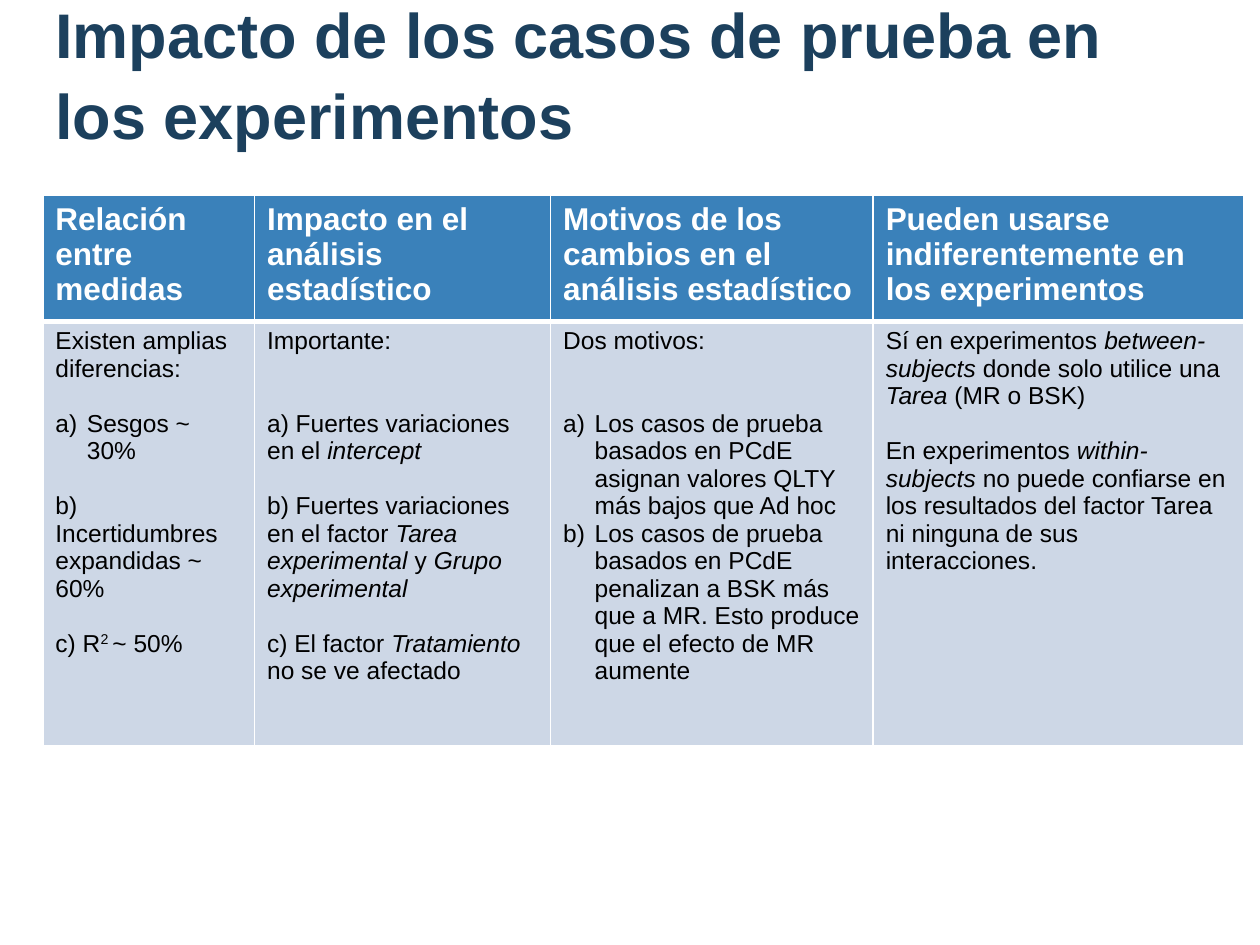
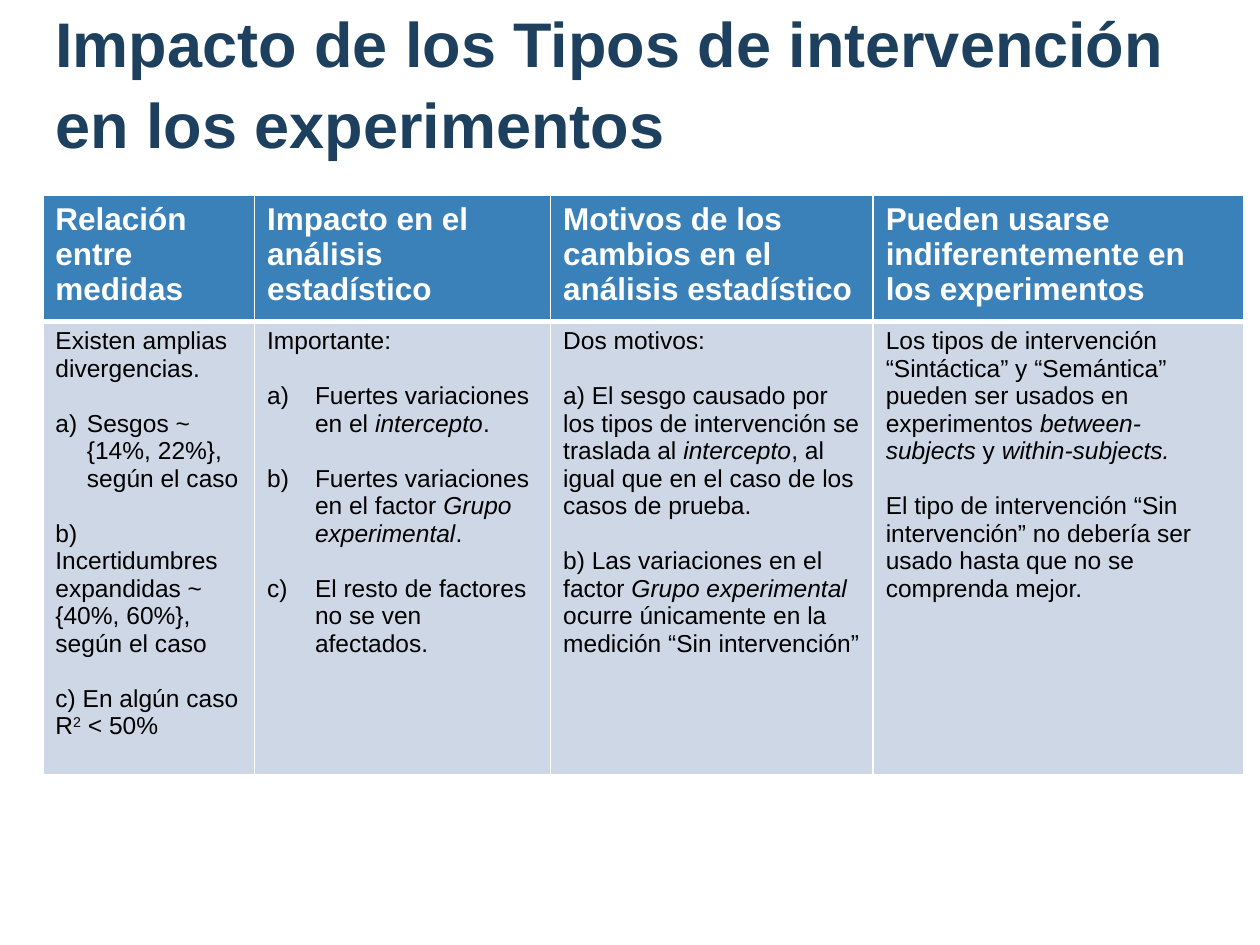
"""Build two slides on how test cases and intervention types affect the experiments."""
from dataclasses import dataclass
from typing import Any

import lxml.etree
import pptx
import pptx.dml.color
import pptx.enum.text
import pptx.oxml.ns
import pptx.util

Inches = pptx.util.Inches
Pt = pptx.util.Pt
qn = pptx.oxml.ns.qn


@dataclass(frozen=True)
class Run:
    """A stretch of text with its emphasis."""
    text: str
    italic: bool = False
    superscript: bool = False


@dataclass(frozen=True)
class Para:
    """A paragraph: its runs, blank lines above it and hanging number indent."""
    runs: tuple[Run, ...]
    lines_above: int = 0
    number_indent: float = 0


@dataclass(frozen=True)
class Topic:
    """One slide: title, title height, findings per column and row height."""
    title: str
    title_height: float
    findings: tuple[tuple[Para, ...], ...]
    findings_height: float


def para(*parts: str | Run, above: int = 0, number: float = 0) -> Para:
    """Make a paragraph from plain strings and styled runs."""
    runs = tuple(Run(part) if isinstance(part, str) else part for part in parts)
    return Para(runs, above, number)


def it(text: str) -> Run:
    """Make an italic run."""
    return Run(text, italic=True)


def sup(text: str) -> Run:
    """Make a superscript run."""
    return Run(text, superscript=True)


NAVY, BLUE, PALE, WHITE, BLACK = "1C405D", "3A81BA", "CDD7E6", "FFFFFF", "000000"
LEFT = 0.34
TABLE_TOP = 1.55
HEADER_HEIGHT = 1
COLUMN_WIDTHS = (1.68, 2.35, 2.56, 2.94)
BODY_LINE = Pt(15.64)
THIN, THICK = 1, 3
NARROW, WIDE = 0.25, 0.38

TITLE_FONT = {"name": "Arial", "size": Pt(36), "bold": True}
HEADER_FONT = {"name": "Arial", "size": Pt(18), "bold": True}
BODY_FONT = {"name": "Arial", "size": Pt(14), "bold": False}
TITLE_FRAME = {
    "word_wrap": True,
    "auto_size": pptx.enum.text.MSO_AUTO_SIZE.NONE,
    "vertical_anchor": pptx.enum.text.MSO_ANCHOR.BOTTOM,
    "margin_left": Inches(0.1), "margin_right": Inches(0.1),
    "margin_top": Inches(0.1), "margin_bottom": Inches(0.1),
}
TITLE_PARAGRAPH = {"alignment": pptx.enum.text.PP_ALIGN.LEFT, "line_spacing": 1.08}
CELL_MARGINS = {
    "margin_left": Inches(0.1), "margin_right": Inches(0.1),
    "margin_top": Inches(0.05), "margin_bottom": Inches(0.05),
}

HEADERS = (
    "Relación entre medidas",
    "Impacto en el análisis estadístico",
    "Motivos de los cambios en el análisis estadístico",
    "Pueden usarse indiferentemente en los experimentos",
)

TOPICS = (
    Topic("Impacto de los casos de prueba en los experimentos", 0.81, (
        (
            para("Existen amplias diferencias:"),
            para("Sesgos ~ 30%", above=1, number=NARROW),
            para("b) Incertidumbres expandidas ~ 60%", above=1),
            para("c) R", sup("2 "), "~ 50%", above=1),
        ),
        (
            para("Importante:"),
            para("a) Fuertes variaciones en el ", it("intercept"), above=2),
            para("b) Fuertes variaciones en el factor ", it("Tarea experimental"),
                 " y ", it("Grupo experimental"), above=1),
            para("c) El factor ", it("Tratamiento "), "no se ve afectado", above=1),
        ),
        (
            para("Dos motivos:"),
            para("Los casos de prueba basados en PCdE asignan valores QLTY "
                 "más bajos que Ad hoc", above=2, number=NARROW),
            para("Los casos de prueba basados en PCdE penalizan a BSK más que a MR. "
                 "Esto produce que el efecto de MR aumente", number=NARROW),
        ),
        (
            para("Sí en experimentos ", it("between-subjects "),
                 "donde solo utilice una ", it("Tarea"), " (MR o BSK)"),
            para("En experimentos ", it("within-subjects "),
                 "no puede confiarse en los resultados del factor Tarea "
                 "ni ninguna de sus interacciones.", above=1),
        ),
    ), 3.37),
    Topic("Impacto de los Tipos de intervención en los experimentos", 0.88, (
        (
            para("Existen amplias divergencias."),
            para("Sesgos ~ {14%, 22%}, según el caso", above=1, number=NARROW),
            para("b) Incertidumbres expandidas ~ {40%, 60%}, según el caso", above=1),
            para("c) En algún caso R", sup("2"), " < 50%", above=1),
        ),
        (
            para("Importante:"),
            para("Fuertes variaciones en el ", it("intercepto"), ".",
                 above=1, number=WIDE),
            para("Fuertes variaciones en el factor ", it("Grupo experimental"), ".",
                 above=1, number=WIDE),
            para("El resto de factores no se ven afectados.", above=1, number=WIDE),
        ),
        (
            para("Dos motivos:"),
            para("a) El sesgo causado por los tipos de intervención se traslada al ",
                 it("intercepto"), ", al igual que en el caso de los casos de prueba.",
                 above=1),
            para("b) Las variaciones en el factor ", it("Grupo experimental "),
                 "ocurre únicamente en la medición “Sin intervención”", above=1),
        ),
        (
            para("Los tipos de intervención “Sintáctica” y “Semántica” pueden ser "
                 "usados en experimentos ", it("between-subjects"), " y ",
                 it("within-subjects.")),
            para("El tipo de intervención “Sin intervención” no debería ser usado "
                 "hasta que no se comprenda mejor.", above=1),
        ),
    ), 3.6),
)


def rgb(value: str) -> pptx.dml.color.RGBColor:
    """Turn a hex string into a colour."""
    return pptx.dml.color.RGBColor.from_string(value)


def apply(target: Any, values: dict[str, Any]) -> None:
    """Set every format value on the target."""
    for name, value in values.items():
        setattr(target, name, value)


def number_paragraph(paragraph: Any, indent: float) -> None:
    """Give a paragraph a lettered number with a hanging indent."""
    properties = paragraph._p.get_or_add_pPr()
    properties.set("marL", str(Inches(indent)))
    properties.set("indent", str(-Inches(indent)))
    bullet_colour = lxml.etree.SubElement(properties, qn("a:buClr"))
    lxml.etree.SubElement(bullet_colour, qn("a:srgbClr"), val=BLACK)
    lxml.etree.SubElement(properties, qn("a:buAutoNum"), type="alphaLcParenR")


def write(frame: Any, paragraphs: tuple[Para, ...], font: dict[str, Any],
          colour: str) -> None:
    """Write paragraphs into a text frame."""
    for index, content in enumerate(paragraphs):
        paragraph = frame.add_paragraph() if index else frame.paragraphs[0]
        if content.number_indent:
            number_paragraph(paragraph, content.number_indent)
        if content.lines_above:
            paragraph.space_before = content.lines_above * BODY_LINE
        for part in content.runs:
            run = paragraph.add_run()
            run.text = part.text
            apply(run.font, font)
            run.font.italic = part.italic
            run.font.color.rgb = rgb(colour)
            if part.superscript:
                run._r.get_or_add_rPr().set("baseline", "30000")


def border_cell(cell: Any, top: float, bottom: float) -> None:
    """Draw white borders around a cell."""
    properties = cell._tc.get_or_add_tcPr()
    widths = {"lnL": THIN, "lnR": THIN, "lnT": top, "lnB": bottom}
    for position, (side, width) in enumerate(widths.items()):
        line = lxml.etree.Element(qn(f"a:{side}"), w=str(Pt(width)))
        fill = lxml.etree.SubElement(line, qn("a:solidFill"))
        lxml.etree.SubElement(fill, qn("a:srgbClr"), val=WHITE)
        properties.insert(position, line)


def fill_cell(cell: Any, paragraphs: tuple[Para, ...], is_header: bool) -> None:
    """Write and colour one table cell."""
    apply(cell, CELL_MARGINS)
    cell.fill.solid()
    cell.fill.fore_color.rgb = rgb(BLUE if is_header else PALE)
    if is_header:
        write(cell.text_frame, paragraphs, HEADER_FONT, WHITE)
        border_cell(cell, THIN, THICK)
    else:
        write(cell.text_frame, paragraphs, BODY_FONT, BLACK)
        border_cell(cell, THICK, THIN)


def add_title(slide: Any, topic: Topic) -> None:
    """Place and format the slide title."""
    title = slide.shapes.title
    apply(title, {"left": Inches(LEFT), "top": Inches(0.5),
                  "width": Inches(9.2), "height": Inches(topic.title_height)})
    apply(title.text_frame, TITLE_FRAME)
    write(title.text_frame, (para(topic.title),), TITLE_FONT, NAVY)
    apply(title.text_frame.paragraphs[0], TITLE_PARAGRAPH)


def add_findings(slide: Any, topic: Topic) -> None:
    """Add the table of findings."""
    heights = (HEADER_HEIGHT, topic.findings_height)
    table = slide.shapes.add_table(
        len(heights), len(HEADERS), Inches(LEFT), Inches(TABLE_TOP),
        Inches(sum(COLUMN_WIDTHS)), Inches(sum(heights))).table
    table.horz_banding = False
    for row, height in zip(table.rows, heights):
        row.height = Inches(height)
    for index, width in enumerate(COLUMN_WIDTHS):
        table.columns[index].width = Inches(width)
        fill_cell(table.cell(0, index), (para(HEADERS[index]),), True)
        fill_cell(table.cell(1, index), topic.findings[index], False)


def main() -> None:
    """Build and save the presentation."""
    deck = pptx.Presentation()
    apply(deck, {"slide_width": Inches(10), "slide_height": Inches(7.5)})
    for topic in TOPICS:
        slide = deck.slides.add_slide(deck.slide_layouts[5])
        add_title(slide, topic)
        add_findings(slide, topic)
    deck.save("out.pptx")


if __name__ == "__main__":
    main()
